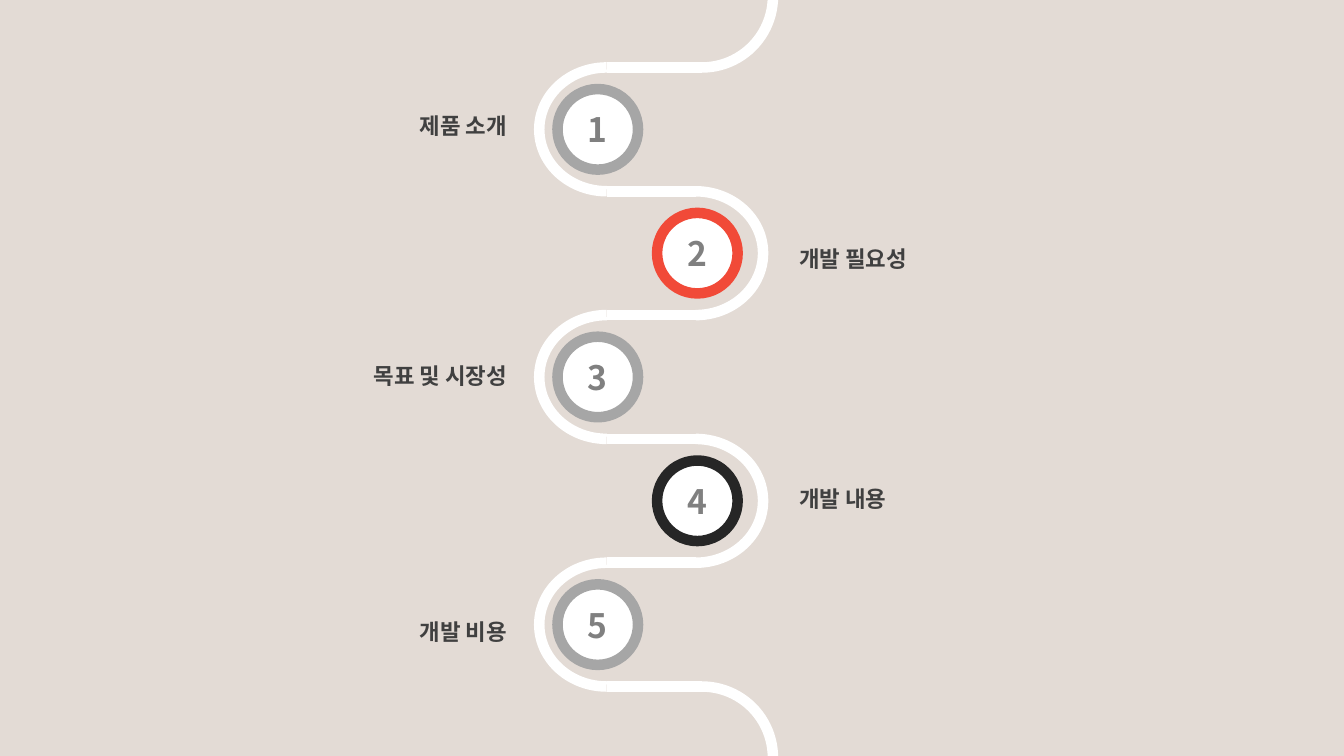
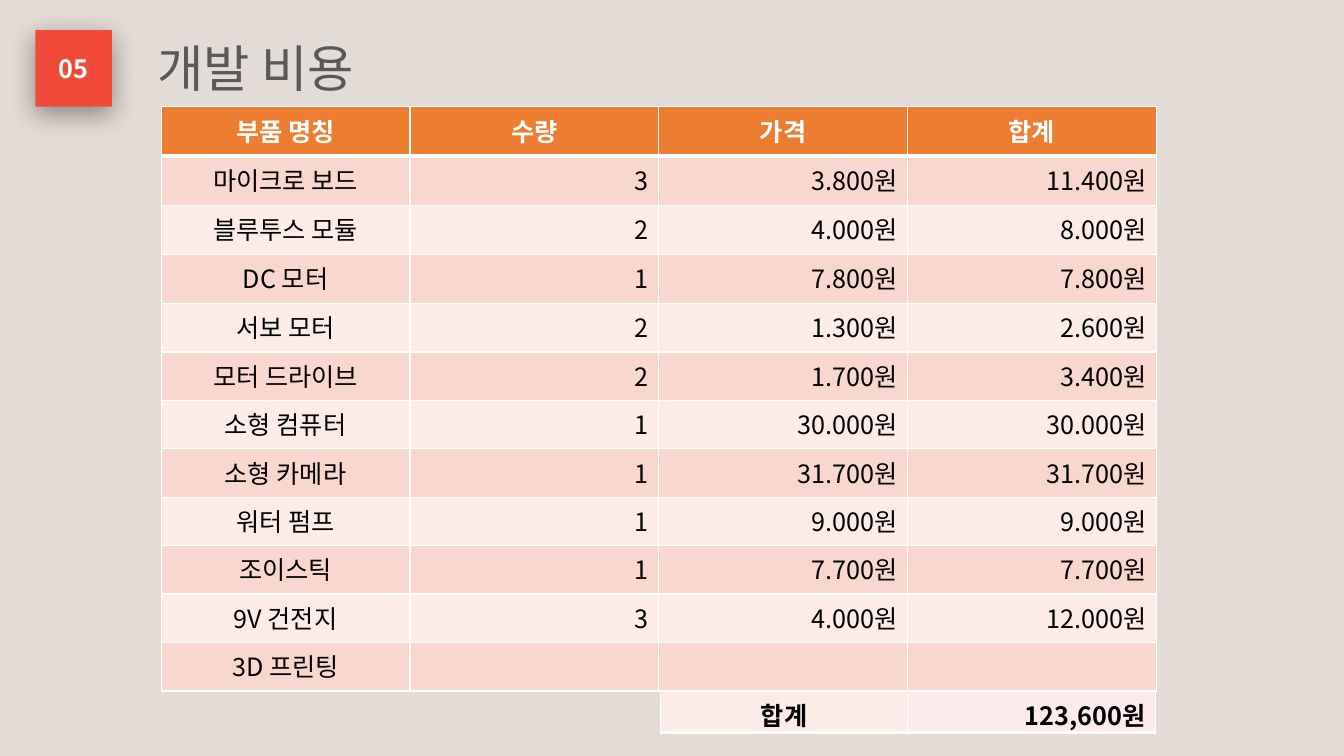
from lxml.etree import SubElement
from pptx import Presentation
from pptx.dml.color import RGBColor
from pptx.enum.shapes import MSO_CONNECTOR, MSO_SHAPE
from pptx.enum.text import MSO_ANCHOR, PP_ALIGN
from pptx.oxml.ns import qn
from pptx.util import Cm, Pt

FONT = "Noto Sans CJK KR"
BACKGROUND, WHITE, BLACK = "E3DBD5", "FFFFFF", "000000"
RED, GREY, DARK, ORANGE = "F14A38", "A6A6A6", "262626", "ED7D31"
NUMBER_GREY, LABEL_GREY, TITLE_GREY = "808080", "404040", "595959"
BANDS = ("F8D7CE", "FCECE8")
TOTAL_FILL = "FCEBEC"

ROAD_WIDTH = 7.5
FIRST_TURN, TURN_PITCH = 1.7, 3.12
BEND_WIDTH, BEND_LEFT, BEND_RIGHT = 1.7, 13.59, 17.53
ARC_LEFT, ARC_SIZE = 15.9, 3.58
CIRCLE_SIZE = 2.03

# label, label top, ring colour
STOPS = [
    ("제품 소개", 2.69, GREY),
    ("개발 필요성", 6.05, RED),
    ("목표 및 시장성", 8.99, GREY),
    ("개발 내용", 12.09, DARK),
    ("개발 비용", 15.44, GREY),
]

HEADINGS = ["부품 명칭", "수량", "가격", "합계"]
# part, quantity, unit price
PARTS = [
    ("마이크로 보드", 3, 3800),
    ("블루투스 모듈", 2, 4000),
    ("DC 모터", 1, 7800),
    ("서보 모터", 2, 1300),
    ("모터 드라이브", 2, 1700),
    ("소형 컴퓨터", 1, 30000),
    ("소형 카메라", 1, 31700),
    ("워터 펌프", 1, 9000),
    ("조이스틱", 1, 7700),
    ("9V 건전지", 3, 4000),
]


def color(value):
    return RGBColor.from_string(value)


def write(frame, text, size, text_color, bold=False, align=PP_ALIGN.LEFT, font=FONT):
    para = frame.paragraphs[0]
    para.alignment = align
    span = para.add_run()
    span.text = text
    span.font.size = Pt(size)
    span.font.bold = bold
    span.font.name = font
    span.font.color.rgb = color(text_color)
    SubElement(span.font._element, qn("a:ea"), typeface=FONT)


def add_text(page, left, top, width, height, text, size, text_color, **style):
    box = page.shapes.add_textbox(Cm(left), Cm(top), Cm(width), Cm(height))
    box.text_frame.word_wrap = True
    write(box.text_frame, text, size, text_color, **style)


def add_shape(page, kind, left, top, width, height, fill=None, line=None):
    shape = page.shapes.add_shape(kind, Cm(left), Cm(top), Cm(width), Cm(height))
    shape.shadow.inherit = False
    if fill:
        shape.fill.solid()
        shape.fill.fore_color.rgb = color(fill)
    else:
        shape.fill.background()
    if line:
        shape.line.color.rgb = color(line)
        shape.line.width = Pt(ROAD_WIDTH)
    else:
        shape.line.fill.background()
    return shape


def add_number(shape, text, size, text_color):
    frame = shape.text_frame
    frame.vertical_anchor = MSO_ANCHOR.MIDDLE
    write(frame, text, size, text_color, bold=True, align=PP_ALIGN.CENTER)


def add_straight(page, start, end, top):
    straight = page.shapes.add_connector(
        MSO_CONNECTOR.STRAIGHT, Cm(start), Cm(top), Cm(end), Cm(top))
    straight.line.color.rgb = color(WHITE)
    straight.line.width = Pt(ROAD_WIDTH)
    SubElement(straight._element.spPr, qn("a:effectLst"))


def add_bend(page, top, opens_left):
    left = BEND_RIGHT if opens_left else BEND_LEFT
    bend = add_shape(page, MSO_SHAPE.LEFT_BRACKET, left, top, BEND_WIDTH, TURN_PITCH, line=WHITE)
    bend.adjustments[0] = 0.918
    bend.rotation = 180 if opens_left else 0


def add_quarter(page, top, start, end):
    """Draw a quarter circle of road; angles are in degrees, clockwise from the right."""
    quarter = add_shape(page, MSO_SHAPE.ARC, ARC_LEFT, top, ARC_SIZE, ARC_SIZE, line=WHITE)
    for index, angle in enumerate((start, end)):
        quarter.adjustments[index] = angle * 0.6


def add_shadow(shape):
    effects = shape._element.spPr.find(qn("a:effectLst"))
    shadow = SubElement(effects, qn("a:outerShdw"), blurRad=str(Pt(19)), dist=str(Pt(5)),
                        dir="5400000", algn="t", rotWithShape="0")
    tint = SubElement(shadow, qn("a:srgbClr"), val=BLACK)
    SubElement(tint, qn("a:alpha"), val="40000")


def add_grid(page, left, top, column_width, row_heights, column_count):
    frame = page.shapes.add_table(
        len(row_heights), column_count, Cm(left), Cm(top),
        Cm(column_width * column_count), Cm(sum(row_heights)))
    table = frame.table
    table.first_row = table.horz_banding = False
    for column in table.columns:
        column.width = Cm(column_width)
    for row, height in zip(table.rows, row_heights):
        row.height = Cm(height)
    return table


def fill_cell(cell, text, fill, align, text_color=BLACK, bold=False, top=1, bottom=1):
    """Style a cell; top and bottom are border widths in points."""
    properties = cell._tc.get_or_add_tcPr()
    for side, width in (("L", 1), ("R", 1), ("T", top), ("B", bottom)):
        border = SubElement(properties, qn(f"a:ln{side}"), w=str(Pt(width)))
        paint = SubElement(border, qn("a:solidFill"))
        SubElement(paint, qn("a:srgbClr"), val=WHITE)
    cell.fill.solid()
    cell.fill.fore_color.rgb = color(fill)
    cell.margin_bottom = 0
    if text:
        write(cell.text_frame, text, 18, text_color, bold=bold, align=align)


def won(amount, separator="."):
    return f"{amount:,}원".replace(",", separator)


def build_road(page):
    straight_start = BEND_LEFT + BEND_WIDTH
    arc_middle = ARC_LEFT + ARC_SIZE / 2
    last_turn = FIRST_TURN + TURN_PITCH * len(STOPS)
    add_quarter(page, FIRST_TURN - ARC_SIZE, 0, 90)
    add_quarter(page, last_turn, 270, 0)
    for index in range(len(STOPS) + 1):
        end = arc_middle if index in (0, len(STOPS)) else BEND_RIGHT
        add_straight(page, straight_start, end, FIRST_TURN + TURN_PITCH * index)

    for index, (label, label_top, ring) in enumerate(STOPS):
        on_right = index % 2 == 1
        turn = FIRST_TURN + TURN_PITCH * index
        add_bend(page, turn, on_right)
        circle = add_shape(
            page, MSO_SHAPE.OVAL, 16.56 if on_right else 14.05,
            turn + (TURN_PITCH - CIRCLE_SIZE) / 2, CIRCLE_SIZE, CIRCLE_SIZE, WHITE, ring)
        add_number(circle, str(index + 1), 24, NUMBER_GREY)
        add_text(page, 19.89 if on_right else 3.07, label_top, 9.96, 1, label, 16, LABEL_GREY,
                 bold=True, font="Arial",
                 align=PP_ALIGN.LEFT if on_right else PP_ALIGN.RIGHT)


def build_costs(page):
    square = add_shape(page, MSO_SHAPE.RECTANGLE, 0.89, 0.76, 1.93, 1.93, RED)
    add_shadow(square)
    add_number(square, "05", 18, WHITE)
    add_text(page, 3.71, 0.81, 16.89, 1.9, "개발 비용", 36, TITLE_GREY)

    rows = [(part, str(count), won(price), won(count * price)) for part, count, price in PARTS]
    rows.append(("3D 프린팅", "", "", ""))
    table = add_grid(page, 4.06, 2.69, 6.27, [1.24] * 4 + [1.22] * 8, len(HEADINGS))
    for column, heading in enumerate(HEADINGS):
        fill_cell(table.cell(0, column), heading, ORANGE, PP_ALIGN.CENTER, WHITE, True, bottom=3)
    for index, row in enumerate(rows):
        for column, text in enumerate(row):
            fill_cell(table.cell(index + 1, column), text, BANDS[index % 2],
                      PP_ALIGN.RIGHT if column else PP_ALIGN.CENTER,
                      top=3 if index == 0 else 1)

    total = won(sum(count * price for _, count, price in PARTS), ",")
    total_row = add_grid(page, 16.64, 17.42, 6.24, [1.04], 2)
    fill_cell(total_row.cell(0, 0), "합계", BANDS[1], PP_ALIGN.CENTER, bold=True, bottom=3)
    fill_cell(total_row.cell(0, 1), total, TOTAL_FILL, PP_ALIGN.RIGHT, bold=True, bottom=3)


def main():
    deck = Presentation()
    deck.slide_width, deck.slide_height = Cm(33.87), Cm(19.05)
    backdrop = deck.slide_master.background.fill
    backdrop.solid()
    backdrop.fore_color.rgb = color(BACKGROUND)
    for build in (build_road, build_costs):
        build(deck.slides.add_slide(deck.slide_layouts[6]))
    deck.save("out.pptx")


if __name__ == "__main__":
    main()
